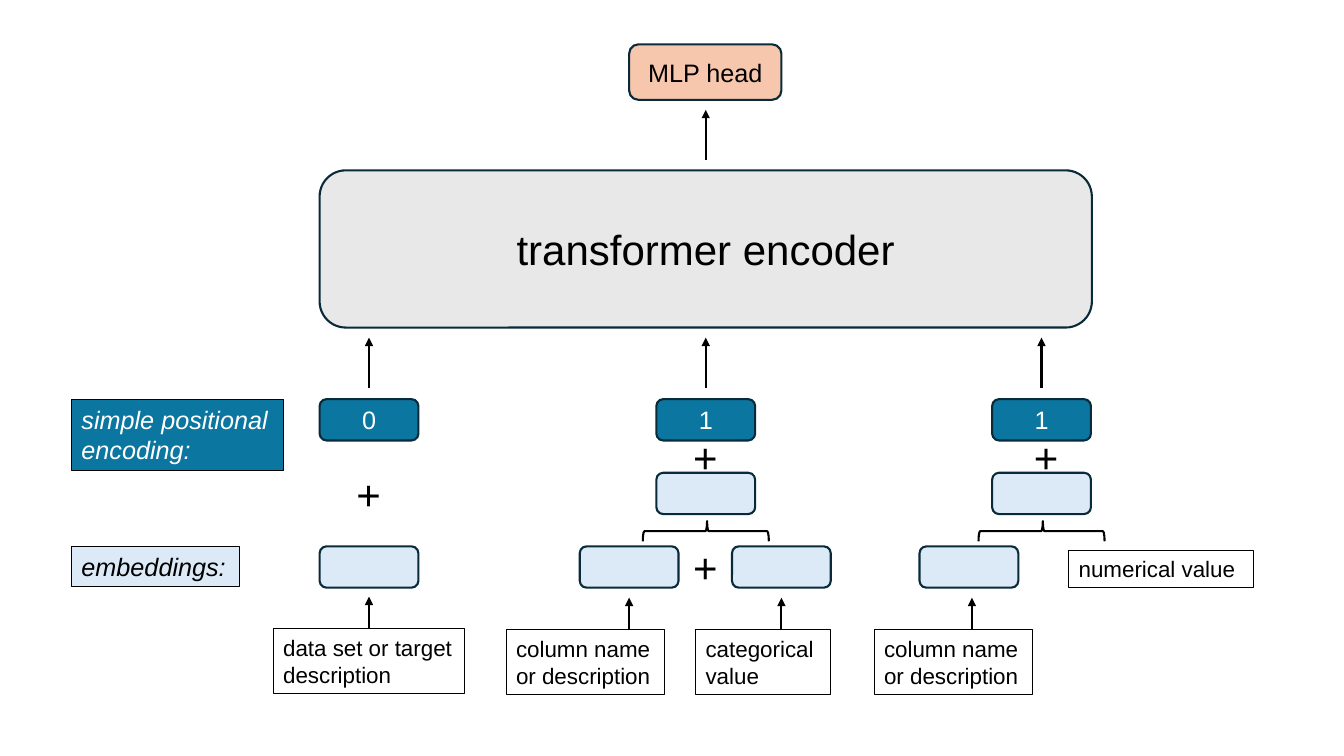
from lxml import etree
from pptx import Presentation
from pptx.dml.color import RGBColor
from pptx.enum.shapes import MSO_CONNECTOR, MSO_SHAPE
from pptx.enum.text import MSO_ANCHOR, PP_ALIGN
from pptx.oxml.ns import qn
from pptx.util import Inches, Pt

ROUNDED, BRACE = MSO_SHAPE.ROUNDED_RECTANGLE, MSO_SHAPE.LEFT_BRACE
STRAIGHT = MSO_CONNECTOR.STRAIGHT
TOP, MIDDLE = MSO_ANCHOR.TOP, MSO_ANCHOR.MIDDLE
LEFT, CENTER = PP_ALIGN.LEFT, PP_ALIGN.CENTER

FONT = "Arial"
BLACK, WHITE, NAVY = "000000", "FFFFFF", "092A39"
GRAY, PEACH, TEAL, PALE = "E8E8E8", "F6C6AD", "0B76A0", "DCEAF7"

CELL_W, CELL_H = 0.98, 0.41
POSITION_Y, SUM_Y, EMBEDDING_Y = 3.96, 4.69, 5.42

# text, left, top, width, height, fill, size
BLOCKS = [
    ("transformer encoder", 3.17, 1.69, 7.66, 1.56, GRAY, 30),
    ("MLP head", 6.24, 0.44, 1.51, 0.55, PEACH, 18),
]
# position, centre of the column
POSITIONS = [("0", 3.66), ("1", 7), ("1", 10.33)]
SUM_CENTERS = [7, 10.33]
EMBEDDING_CENTERS = [3.66, 6.24, 7.75, 9.61]
# centre, middle
PLUSES = [(3.66, 4.9), (7, 5.63), (7, 4.54), (10.38, 4.54)]
# text, left, top, width, height, centre of the arrow above
INPUTS = [
    ("data set or target\ndescription", 2.71, 6.24, 1.9, 0.64, 3.66),
    ("column name or description", 5.02, 6.25, 1.57, 0.64, 6.24),
    ("categorical value", 6.9, 6.25, 1.34, 0.64, 7.75),
    ("column name or description", 8.67, 6.25, 1.57, 0.64, 9.64),
    ("numerical value", 10.6, 5.46, 1.83, 0.37, None),
]
# text, left, top, width, height, fill, colour
ROW_LABELS = [
    ("simple positional encoding:", 0.71, POSITION_Y, 2.1, 0.71, TEAL, WHITE),
    ("embeddings:", 0.71, EMBEDDING_Y, 1.67, 0.4, PALE, BLACK),
]

prs = Presentation()
prs.slide_width, prs.slide_height = Inches(13.33), Inches(7.5)
s = prs.slides.add_slide(prs.slide_layouts[6])


def rgb(color):
    return RGBColor.from_string(color)


def set_line(sp, color, width):
    sp.line.color.rgb = rgb(color)
    sp.line.width = Pt(width)


def write(sp, text, size=18, color=BLACK, italic=False, align=LEFT,
          anchor=TOP, wrap=True):
    tf = sp.text_frame
    tf.word_wrap = wrap
    tf.vertical_anchor = anchor
    tf.text = text
    for p in tf.paragraphs:
        p.alignment = align
        for r in p.runs:
            r.font.name, r.font.size, r.font.italic = FONT, Pt(size), italic
            r.font.color.rgb = rgb(color)


def add_block(x, y, w, h, fill, text="", **text_format):
    sp = s.shapes.add_shape(ROUNDED, Inches(x), Inches(y), Inches(w), Inches(h))
    sp.shadow.inherit = False
    sp.fill.solid()
    sp.fill.fore_color.rgb = rgb(fill)
    set_line(sp, NAVY, 1.5)
    if text:
        write(sp, text, align=CENTER, anchor=MIDDLE, **text_format)


def add_cell(center, y, fill, text="", **text_format):
    add_block(center - CELL_W / 2, y, CELL_W, CELL_H, fill, text, **text_format)


def add_text(text, x, y, w, h, fill=None, border=True, **text_format):
    sp = s.shapes.add_textbox(Inches(x), Inches(y), Inches(w), Inches(h))
    if fill:
        sp.fill.solid()
        sp.fill.fore_color.rgb = rgb(fill)
    if border:
        set_line(sp, BLACK, 0.75)
    write(sp, text, **text_format)


def add_up_arrow(x, bottom, length):
    c = s.shapes.add_connector(STRAIGHT, Inches(x), Inches(bottom),
                               Inches(x), Inches(bottom - length))
    set_line(c, BLACK, 1.5)
    etree.SubElement(c.line._get_or_add_ln(), qn("a:tailEnd"), type="triangle")
    etree.SubElement(c._element.spPr, qn("a:effectLst"))


def add_brace(center):
    w, h, middle = 0.2, 1.25, 5.27
    sp = s.shapes.add_shape(BRACE, Inches(center - w / 2), Inches(middle - h / 2),
                            Inches(w), Inches(h))
    sp.rotation = 90
    sp.adjustments[0], sp.adjustments[1] = 0.08, 0.49
    sp.shadow.inherit = False
    sp.fill.background()
    set_line(sp, BLACK, 1.5)


for text, x, y, w, h, fill, size in BLOCKS:
    add_block(x, y, w, h, fill, text, size=size)
add_up_arrow(7, 1.59, 0.5)

for text, center in POSITIONS:
    add_cell(center, POSITION_Y, TEAL, text, color=WHITE)
    add_up_arrow(center, 3.85, 0.5)
for center in SUM_CENTERS:
    add_cell(center, SUM_Y, PALE)
    add_brace(center)
for center in EMBEDDING_CENTERS:
    add_cell(center, EMBEDDING_Y, PALE)

for center, middle in PLUSES:
    w, h = 0.45, 0.61
    add_text("+", center - w / 2, middle - h / 2, w, h, border=False, size=30,
             wrap=False)

for text, x, y, w, h, arrow_x in INPUTS:
    add_text(text, x, y, w, h, size=16, wrap="\n" not in text)
    if arrow_x:
        add_up_arrow(arrow_x, y, 0.32)
for text, x, y, w, h, fill, color in ROW_LABELS:
    add_text(text, x, y, w, h, fill, color=color, italic=True)

prs.save("out.pptx")
